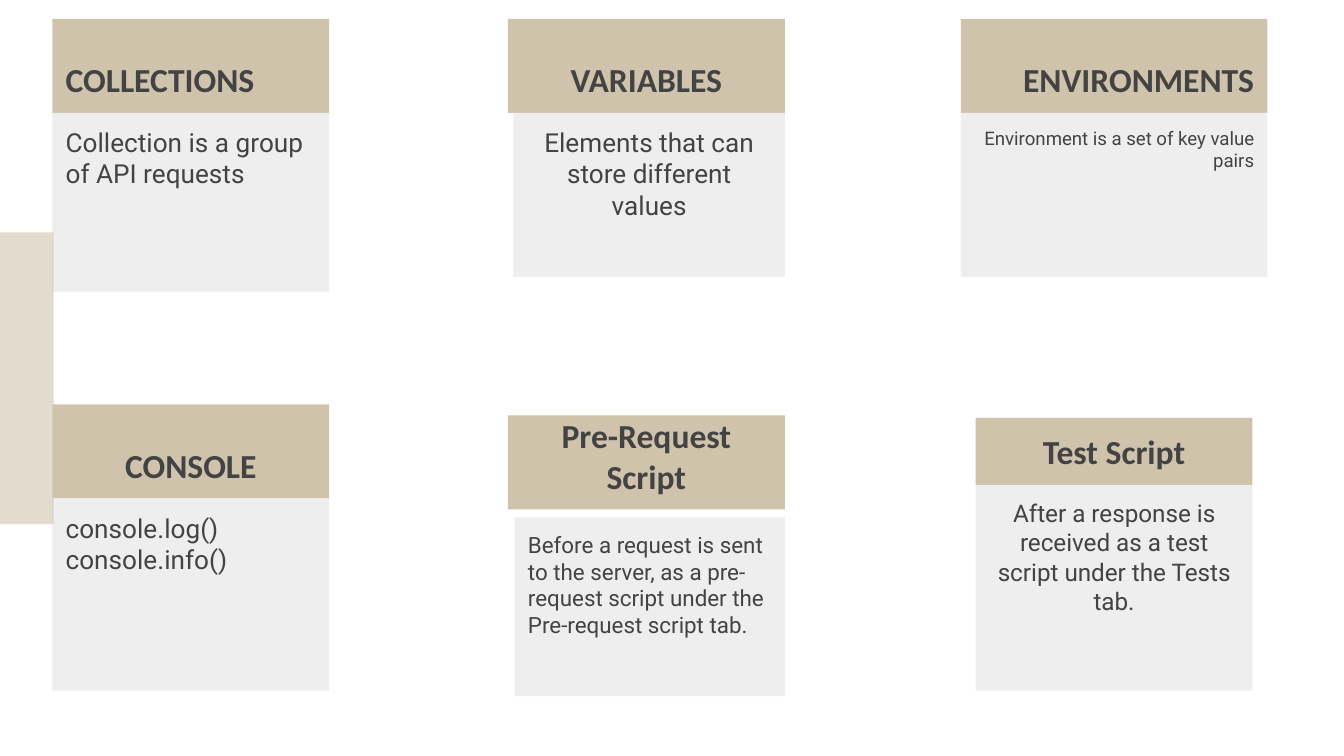
from dataclasses import dataclass

from lxml import etree
from pptx import Presentation
from pptx import util as u
from pptx.dml.color import RGBColor
from pptx.enum import shapes, text
from pptx.oxml.ns import qn


@dataclass(frozen=True)
class Theme:
    tan: str = "CFC3AC"
    grey: str = "EEEEEE"
    ink: str = "434343"
    heading_font: str = "Calibri"
    body_font: str = "Roboto"
    heading_size: int = 18
    accent_opacity: int = 58


THEME = Theme()
LEFT, CENTER, RIGHT = text.PP_ALIGN.LEFT, text.PP_ALIGN.CENTER, text.PP_ALIGN.RIGHT

# heading, heading alignment, body paragraphs, body alignment, body size
CARDS = [
    ("COLLECTIONS", LEFT, ["Collection is a group of API requests"], LEFT, 14),
    ("VARIABLES", CENTER, ["Elements that can store different values"], CENTER, 14),
    ("ENVIRONMENTS", RIGHT, ["Environment is a set of key value pairs"], RIGHT, 10),
    ("CONSOLE", CENTER, ["console.log()", "console.info()"], LEFT, 14),
    ("Pre-Request Script", CENTER,
     ["Before a request is sent to the server, as a pre-request script "
      "under the Pre-request script tab."], LEFT, 12),
    ("Test Script", CENTER,
     ["After a response is received as a test script under the Tests tab."], CENTER, 13),
]

SLIDE_W = 10
SLIDE_H = SLIDE_W * 9 / 16
COLUMN_LEFTS, ROW_TOPS = (0.39, 3.78, 7.15), (0.14, 3.01)
CARD_W, HEAD_H, PAD = 2.06, 0.7, 0.1
BODY_HEIGHTS = (1.33, 1.22, 1.22, 1.43, 1.33, 1.53)
# Departures from the grid, by card number
WIDTHS = {2: 2.28}
HEAD_HEIGHTS = {5: 0.5}
SHIFTS = {4: (0, 0.08), 5: (0.11, 0.1)}
BODY_INSETS = {1: 0.04, 4: 0.05}
BODY_GAPS = {4: 0.06}


def add_block(page, left, top, width, height, color):
    box = page.shapes.add_shape(
        shapes.MSO_SHAPE.RECTANGLE, *(u.Inches(n) for n in (left, top, width, height)))
    box.shadow.inherit = False
    box.fill.solid()
    box.fill.fore_color.rgb = RGBColor.from_string(color)
    box.line.fill.background()
    return box


def write(box, lines, align, anchor, font, size, bold=False):
    frame = box.text_frame
    frame.word_wrap = True
    frame.vertical_anchor = anchor
    frame.margin_left = frame.margin_right = u.Inches(PAD)
    frame.margin_top = frame.margin_bottom = u.Inches(PAD)
    for number, line in enumerate(lines):
        para = frame.add_paragraph() if number else frame.paragraphs[0]
        para.alignment = align
        span = para.add_run()
        span.text = line
        span.font.name = font
        span.font.size = u.Pt(size)
        span.font.bold = bold
        span.font.color.rgb = RGBColor.from_string(THEME.ink)


def add_card(page, number, card):
    heading, heading_align, lines, body_align, body_size = card
    row, column = divmod(number, len(COLUMN_LEFTS))
    shift_x, shift_y = SHIFTS.get(number, (0, 0))
    left = COLUMN_LEFTS[column] + shift_x
    top = ROW_TOPS[row] + shift_y
    width = WIDTHS.get(number, CARD_W)
    head_h = HEAD_HEIGHTS.get(number, HEAD_H)
    inset = BODY_INSETS.get(number, 0)
    body_top = top + head_h + BODY_GAPS.get(number, 0)

    head = add_block(page, left, top, width, head_h, THEME.tan)
    write(head, [heading], heading_align, text.MSO_ANCHOR.BOTTOM,
          THEME.heading_font, THEME.heading_size, bold=True)
    body = add_block(page, left + inset, body_top, width - inset,
                     BODY_HEIGHTS[number], THEME.grey)
    write(body, lines, body_align, text.MSO_ANCHOR.TOP, THEME.body_font, body_size)


def add_accent(page):
    accent = add_block(page, 0, 1.73, 0.4, 2.17, THEME.tan)
    color = accent.fill._xPr.find(qn("a:solidFill"))[0]
    etree.SubElement(color, qn("a:alpha"), val=str(THEME.accent_opacity * 1000))


def main():
    deck = Presentation()
    deck.slide_width, deck.slide_height = u.Inches(SLIDE_W), u.Inches(SLIDE_H)
    page = deck.slides.add_slide(deck.slide_layouts[6])
    for number, card in enumerate(CARDS):
        add_card(page, number, card)
    add_accent(page)
    deck.save("out.pptx")


if __name__ == "__main__":
    main()
